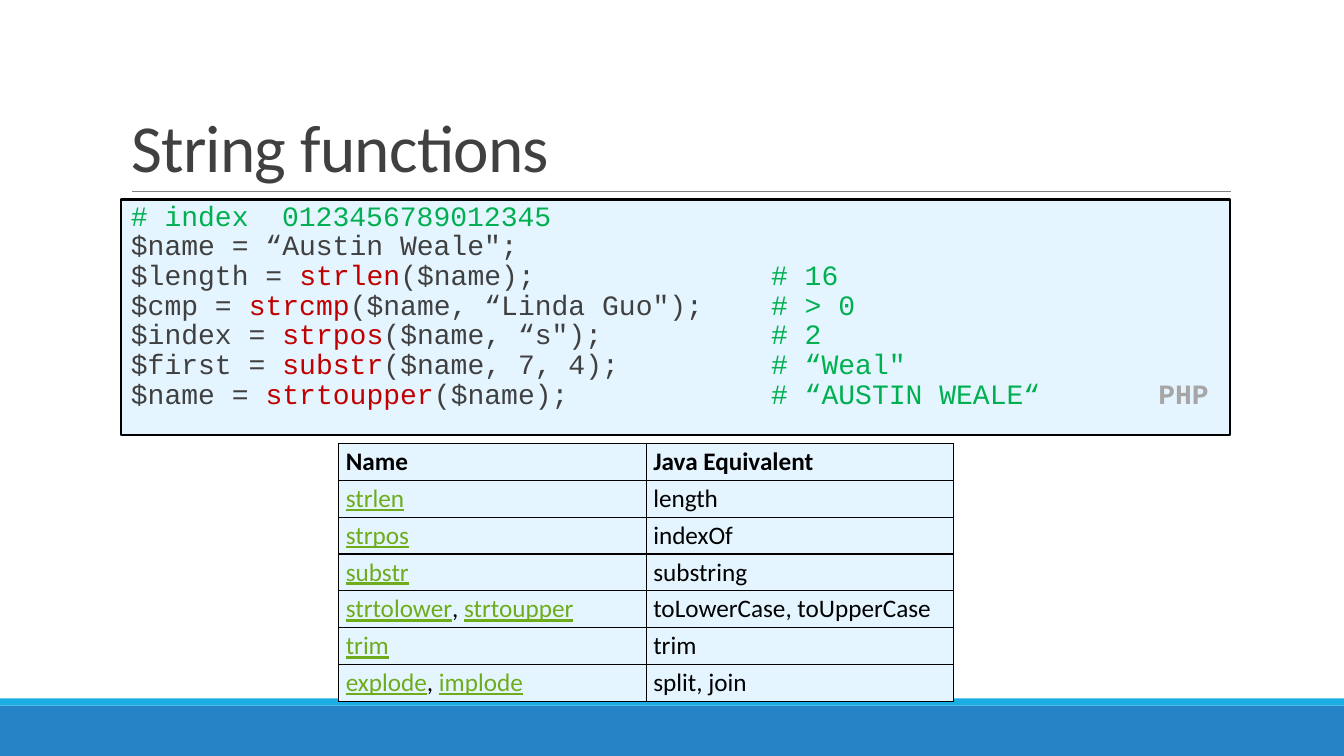
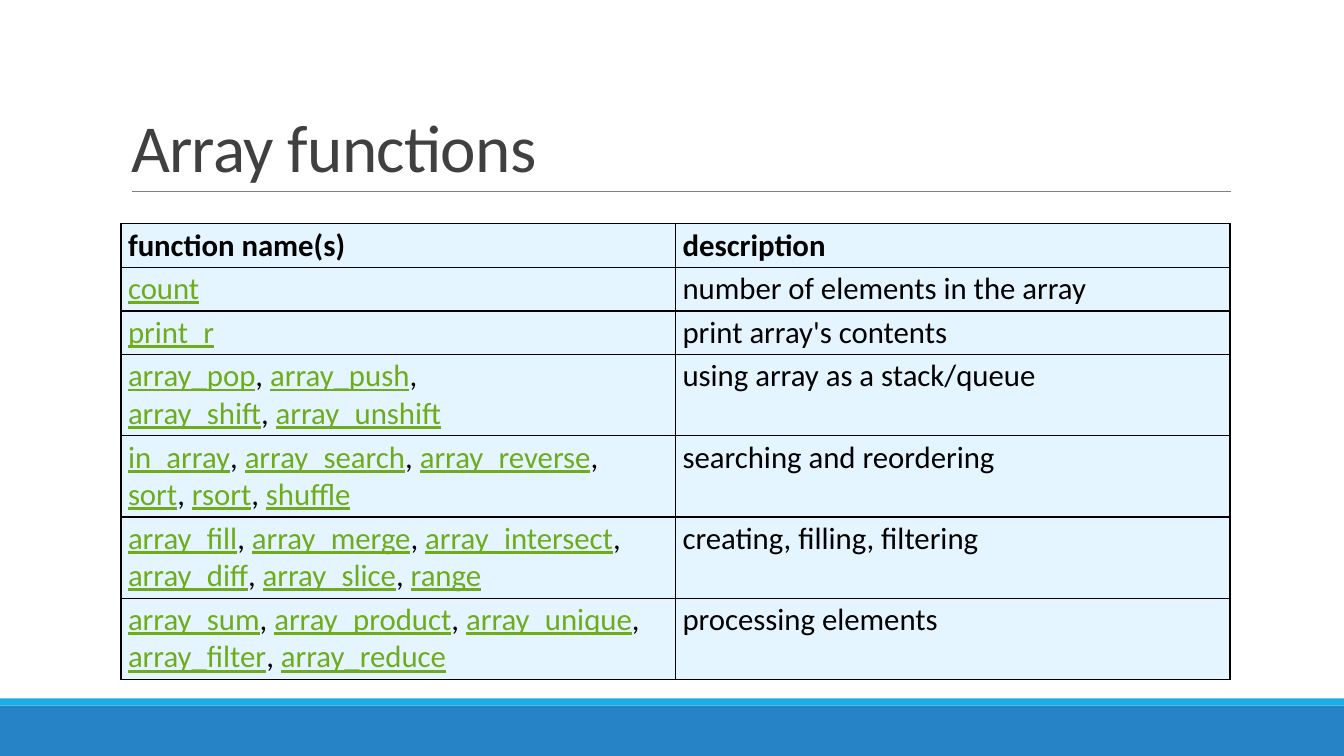
import pptx
import pptx.util
import pptx.dml.color
import pptx.enum.shapes
import pptx.enum.text
import pptx.oxml
from dataclasses import dataclass
from lxml import etree
from pptx.util import Inches

CODE = [
    ("", "", "", "# index\t0123456789012345"),
    ("$name = “Austin Weale\";",),
    ("$length = ", "strlen", "($name);", "\t# 16"),
    ("$cmp = ", "strcmp", "($name, “Linda Guo\");", "\t# > 0"),
    ("$index = ", "strpos", "($name, “s\");", "\t# 2"),
    ("$first = ", "substr", "($name, 7, 4);", "\t# “Weal\""),
    ("$name = ", "strtoupper", "($name);", "\t# “AUSTIN WEALE“", "\tPHP"),
]
TABS = (1.5, 6.35, 10.19)

STRINGS = [
    ("Name", "Java Equivalent"),
    ("strlen", "length"),
    ("strpos", "indexOf"),
    ("substr", "substring"),
    ("strtolower, strtoupper", "toLowerCase, toUpperCase"),
    ("trim", "trim"),
    ("explode, implode", "split, join"),
]

ARRAYS = [
    ("function name(s)", "description"),
    ("count", "number of elements in the array"),
    ("print_r", "print array's contents"),
    ("array_pop, array_push,\narray_shift, array_unshift", "using array as a stack/queue"),
    ("in_array, array_search, array_reverse,\nsort, rsort, shuffle", "searching and reordering"),
    ("array_fill, array_merge, array_intersect,\narray_diff, array_slice, range", "creating, filling, filtering"),
    ("array_sum, array_product, array_unique,\narray_filter, array_reduce", "processing elements"),
]


@dataclass(frozen=True)
class Theme:
    sans: str = "Calibri"
    mono: str = "Courier New"
    head: int = 48
    code: int = 20
    text: str = "404040"
    call: str = "C00000"
    note: str = "00B050"
    tag: str = "A6A6A6"
    link: str = "6EAC1C"
    ink: str = "000000"
    pale: str = "E5F5FF"
    band: str = "2683C6"
    strip: str = "1CADE4"
    rule: str = "808080"


T = Theme()
WIDE, HIGH = 13.33, 7.5
LEFT, SPAN = 1.2, 11
BANDS = ((7, 0.5, T.band), (6.93, 0.07, T.strip))
RULE = (1.31, 12.21, 1.9)
PAD_X, PAD_Y = 0.07, 0.03
ROLES = ("text", "call", "text", "note", "tag")


def rgb(code):
    return pptx.dml.color.RGBColor.from_string(code)


def add_run(para, text, size, color, face=T.sans, bold=False, under=False):
    run = para.add_run()
    run.text = text
    font = run.font
    font.name, font.size = face, pptx.util.Pt(size)
    font.bold, font.underline = bold, under
    font.color.rgb = rgb(color)
    return run


def add_box(slide, left, top, width, height, fill, line=None):
    box = slide.shapes.add_shape(
        pptx.enum.shapes.MSO_SHAPE.RECTANGLE,
        Inches(left), Inches(top), Inches(width), Inches(height))
    box.shadow.inherit = False
    box.fill.solid()
    box.fill.fore_color.rgb = rgb(fill)
    if line:
        box.line.color.rgb = rgb(line)
        box.line.width = pptx.util.Pt(1.5)
    else:
        box.line.fill.background()
    return box


def add_slide(deck, title):
    slide = deck.slides.add_slide(deck.slide_layouts.get_by_name("Title Only"))
    for top, height, fill in BANDS:
        add_box(slide, 0, top, WIDE, height, fill)
    start, end, y = RULE
    rule = slide.shapes.add_connector(
        pptx.enum.shapes.MSO_CONNECTOR.STRAIGHT,
        Inches(start), Inches(y), Inches(end), Inches(y))
    rule.line.color.rgb = rgb(T.rule)
    rule.line.width = pptx.util.Pt(0.5)
    etree.SubElement(rule._element.spPr, pptx.oxml.ns.qn("a:effectLst"))

    head = slide.shapes.title
    head.left, head.top = Inches(LEFT), Inches(0.31)
    head.width, head.height = Inches(SPAN), Inches(1.59)
    frame = head.text_frame
    frame.auto_size = pptx.enum.text.MSO_AUTO_SIZE.NONE
    frame.vertical_anchor = pptx.enum.text.MSO_ANCHOR.BOTTOM
    para = frame.paragraphs[0]
    para.alignment = pptx.enum.text.PP_ALIGN.LEFT
    para.line_spacing = 0.85
    run = add_run(para, title, T.head, T.text)
    run.font._element.set("spc", "-50")
    return slide


def add_code(slide, top, height):
    frame = add_box(slide, LEFT, top, SPAN, height, T.pale, T.ink).text_frame
    frame.word_wrap = True
    frame.vertical_anchor = pptx.enum.text.MSO_ANCHOR.TOP
    frame.margin_left, frame.margin_right = Inches(0.1), 0
    frame.margin_top = frame.margin_bottom = Inches(0.05)
    for i, line in enumerate(CODE):
        para = frame.add_paragraph() if i else frame.paragraphs[0]
        para.alignment = pptx.enum.text.PP_ALIGN.LEFT
        para.line_spacing = 0.8
        para.space_after = pptx.util.Pt(2)
        stops = etree.SubElement(para._p.get_or_add_pPr(), pptx.oxml.ns.qn("a:tabLst"))
        for tab in TABS:
            etree.SubElement(stops, pptx.oxml.ns.qn("a:tab"), pos=str(Inches(tab)), algn="l")
        for role, text in zip(ROLES, line):
            if text:
                add_run(para, text, T.code, getattr(T, role), T.mono, role == "tag")


def add_edges(cell):
    props = cell._tc.get_or_add_tcPr()
    for side in "LRTB":
        edge = etree.SubElement(
            props, pptx.oxml.ns.qn("a:ln" + side), w=str(pptx.util.Pt(1)))
        fill = etree.SubElement(edge, pptx.oxml.ns.qn("a:solidFill"))
        etree.SubElement(fill, pptx.oxml.ns.qn("a:srgbClr"), val=T.ink)


def add_links(para, text, size):
    for i, line in enumerate(text.split("\n")):
        if i:
            para.add_line_break()
        for j, name in enumerate(line.rstrip(",").split(", ")):
            if j:
                add_run(para, ", ", size, T.ink)
            add_run(para, name, size, T.link, under=True)
        if line.endswith(","):
            add_run(para, ",", size, T.ink)


def add_grid(slide, rows, left, top, width, size):
    cols = len(rows[0])
    tall = [(row[0].count("\n") + 1) * size * 1.22 / 72 + 2 * PAD_Y for row in rows]
    grid = slide.shapes.add_table(
        len(rows), cols, Inches(left), Inches(top), Inches(width), Inches(sum(tall))).table
    grid.first_row = grid.horz_banding = False
    for r, row in enumerate(rows):
        grid.rows[r].height = Inches(tall[r])
        for c, text in enumerate(row):
            cell = grid.cell(r, c)
            cell.margin_left = cell.margin_right = Inches(PAD_X)
            cell.margin_top = cell.margin_bottom = Inches(PAD_Y)
            add_edges(cell)
            cell.fill.solid()
            cell.fill.fore_color.rgb = rgb(T.pale)
            para = cell.text_frame.paragraphs[0]
            if r and c == 0:
                add_links(para, text, size)
            else:
                add_run(para, text, size, T.ink, bold=r == 0)


def main():
    deck = pptx.Presentation()
    deck.slide_width, deck.slide_height = Inches(WIDE), Inches(HIGH)

    slide = add_slide(deck, "String functions")
    add_code(slide, 1.98, 2.34)
    add_grid(slide, STRINGS, 3.36, 4.4, 6.1, 18)

    slide = add_slide(deck, "Array functions")
    add_grid(slide, ARRAYS, LEFT, 2.22, SPAN, 22)

    deck.save("out.pptx")


if __name__ == "__main__":
    main()
